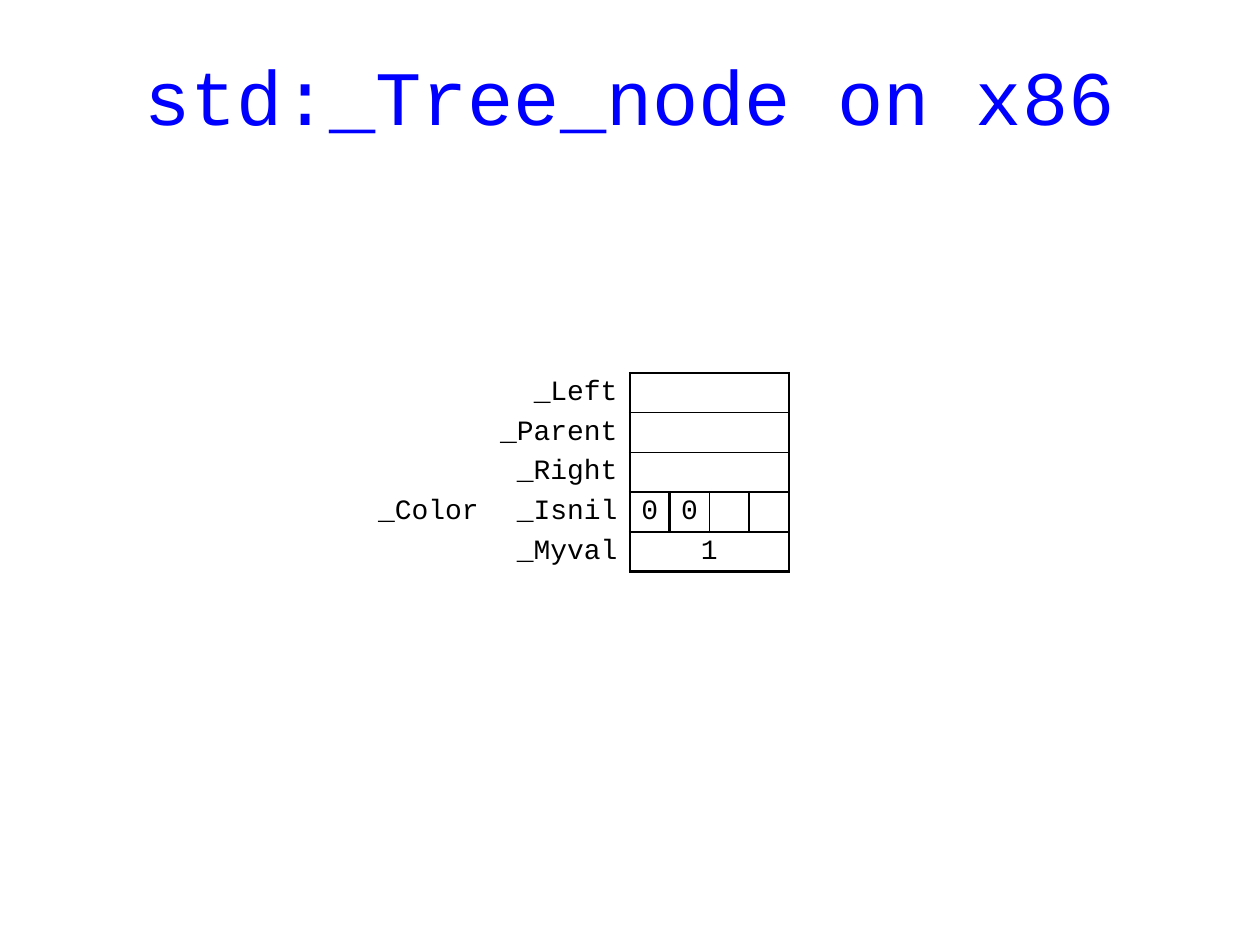
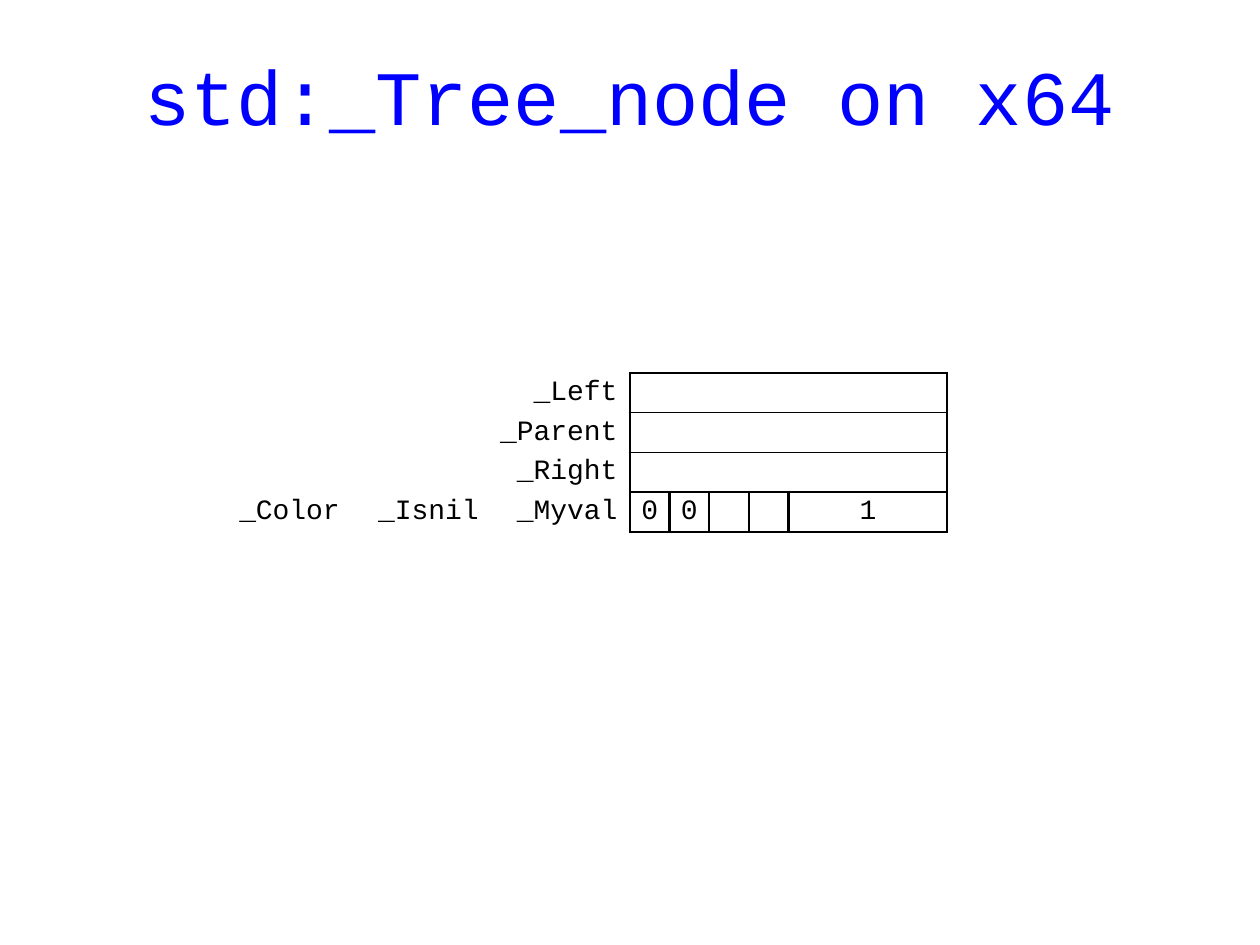
import pptx
import pptx.dml.color
import pptx.enum.text
import pptx.util
import lxml.etree

Cm = pptx.util.Cm
Pt = pptx.util.Pt
ALIGN = pptx.enum.text.PP_ALIGN
MIDDLE = pptx.enum.text.MSO_ANCHOR.MIDDLE

FONT = "Courier New"
BLACK = "000000"
BLUE = "0000FF"
WHITE = "FFFFFF"
NO_GRID_STYLE = "{2D5ABB26-0587-4C30-8999-92F81FD0307C}"
DRAWING = "{http://schemas.openxmlformats.org/drawingml/2006/main}"
THICK, THIN = 1.5, 1

UNIT = 0.8
LABEL_WIDTH = 2.8
FIELDS_LEFT = 12.7
TABLE_TOP = 7.52

pointer_rows = [([name], [""]) for name in ("_Left", "_Parent", "_Right")]
nodes = [
    {
        "title": "std:_Tree_node on x86",
        "label_columns": 2,
        "field_bytes": [1, 1, 1, 1],
        "thin_divider": 2,
        "rows": pointer_rows + [
            (["_Color", "_Isnil"], ["0", "0", "", ""]),
            (["_Myval"], ["1"]),
        ],
    },
    {
        "title": "std:_Tree_node on x64",
        "label_columns": 3,
        "field_bytes": [1, 1, 1, 1, 4],
        "thin_divider": None,
        "rows": pointer_rows + [
            (["_Color", "_Isnil", "_Myval"], ["0", "0", "", "", "1"]),
        ],
    },
]


def color(value):
    return pptx.dml.color.RGBColor.from_string(value)


def write(frame, text, size, ink, alignment):
    para = frame.paragraphs[0]
    para.alignment = alignment
    if text:
        span = para.add_run()
        span.text = text
        span.font.name = FONT
        span.font.size = Pt(size)
        span.font.color.rgb = color(ink)
    return para


deck = pptx.Presentation()
deck.slide_width = Cm(25.4)
deck.slide_height = Cm(19.05)

for node in nodes:
    page = deck.slides.add_slide(deck.slide_layouts[6])
    page.background.fill.solid()
    page.background.fill.fore_color.rgb = color(WHITE)

    box = page.shapes.add_textbox(Cm(1.2), Cm(0.53), Cm(23), Cm(3))
    box.text_frame.word_wrap = True
    box.text_frame.vertical_anchor = MIDDLE
    para = write(box.text_frame, node["title"], 44, BLUE, ALIGN.CENTER)
    para.line_spacing = 0.9

    rows = node["rows"]
    label_columns = node["label_columns"]
    field_columns = len(node["field_bytes"])
    widths = [LABEL_WIDTH] * label_columns + [UNIT * size for size in node["field_bytes"]]
    holder = page.shapes.add_table(
        len(rows), len(widths),
        Cm(FIELDS_LEFT - LABEL_WIDTH * label_columns), Cm(TABLE_TOP),
        Cm(sum(widths)), Cm(UNIT * len(rows)),
    )
    table = holder.table
    table.first_row = False
    table.horz_banding = False
    next(holder.element.iter(DRAWING + "tableStyleId")).text = NO_GRID_STYLE
    for column, width in zip(table.columns, widths):
        column.width = Cm(width)
    for row in table.rows:
        row.height = Cm(UNIT)

    for row_index, (labels, fields) in enumerate(rows):
        for texts, start, count in (
            (labels, 0, label_columns),
            (fields, label_columns, field_columns),
        ):
            is_field = start > 0
            reach = count // len(texts)
            for position, text in enumerate(texts):
                first = start + position * reach
                last = first + reach - 1
                if is_field:
                    divider = node["thin_divider"]
                    edges = {
                        "lnL": THIN if position and position == divider else THICK,
                        "lnR": THIN if position + 1 == divider else THICK,
                        "lnT": THIN if row_index in (1, 2) else THICK,
                        "lnB": THIN if row_index in (0, 1) else THICK,
                    }
                else:
                    outer = THICK if last == label_columns - 1 else 0
                    edges = {"lnL": 0, "lnR": outer, "lnT": 0, "lnB": 0}

                for index in range(first, last + 1):
                    cell = table.cell(row_index, index)
                    cell.margin_left = cell.margin_right = Cm(0.2 if is_field else 0.25)
                    cell.margin_top = cell.margin_bottom = 0
                    cell.vertical_anchor = MIDDLE
                    properties = cell._tc.get_or_add_tcPr()
                    for edge, weight in edges.items():
                        line = lxml.etree.SubElement(properties, DRAWING + edge)
                        if weight:
                            line.set("w", str(Pt(weight)))
                            paint = lxml.etree.SubElement(line, DRAWING + "solidFill")
                            lxml.etree.SubElement(paint, DRAWING + "srgbClr", val=BLACK)
                        else:
                            lxml.etree.SubElement(line, DRAWING + "noFill")
                    cell.fill.background()

                cell = table.cell(row_index, first)
                if last > first:
                    cell.merge(table.cell(row_index, last))
                write(cell.text_frame, text, 16, BLACK, ALIGN.CENTER if is_field else ALIGN.RIGHT)

deck.save("out.pptx")
